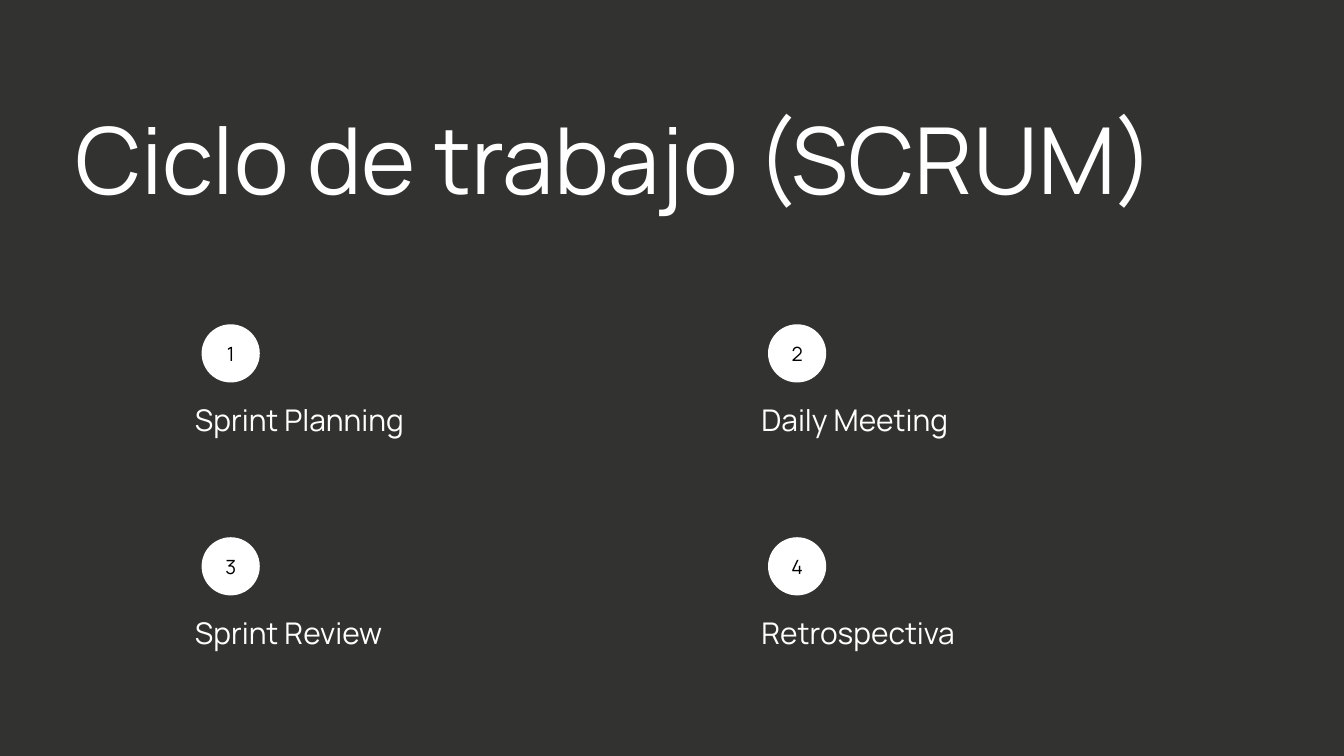
import pptx
import pptx.util
import pptx.dml.color
import pptx.enum.shapes
import pptx.enum.text
import lxml.etree
from dataclasses import dataclass

Cm = pptx.util.Cm
Pt = pptx.util.Pt
RGB = pptx.dml.color.RGBColor
Align = pptx.enum.text.PP_ALIGN
Anchor = pptx.enum.text.MSO_ANCHOR
Fit = pptx.enum.text.MSO_AUTO_SIZE
OVAL = pptx.enum.shapes.MSO_SHAPE.OVAL

TITLE = "Ciclo de trabajo (SCRUM)"
STEPS = ["Sprint Planning", "Daily Meeting", "Sprint Review", "Retrospectiva"]


@dataclass(frozen=True)
class Theme:
    font: str = "Manrope"
    dark: RGB = RGB(0x32, 0x32, 0x30)
    light: RGB = RGB(0xFF, 0xFF, 0xFF)
    ink: RGB = RGB(0, 0, 0)
    title: tuple = (99, 106.9)
    label: tuple = (32, 44.8)
    digit: tuple = (21, 29.4)


LOOK = Theme()
COLS = 2
LEFT, TOP = 7.37, 12.01
STEP_X, STEP_Y = 21.41, 8.05
HALO, DOT = 2.7, 2.2
LABEL_DY, LABEL_W, LABEL_H = 2.95, 16.61, 1.52


def write(shape, text, size, color, align=Align.LEFT, anchor=Anchor.TOP):
    frame = shape.text_frame
    frame.text = text
    frame.word_wrap = True
    frame.auto_size = Fit.NONE
    frame.vertical_anchor = anchor
    frame.margin_left = frame.margin_right = 0
    frame.margin_top = frame.margin_bottom = 0
    line = frame.paragraphs[0]
    line.alignment = align
    line.line_spacing = Pt(size[1])
    font = line.runs[0].font
    font.name = LOOK.font
    font.size = Pt(size[0])
    font.color.rgb = color


def add_disc(group, x, y, side, color):
    disc = group.shapes.add_shape(OVAL, Cm(x), Cm(y), Cm(side), Cm(side))
    disc.shadow.inherit = False
    disc.fill.solid()
    disc.fill.fore_color.rgb = color
    disc.line.fill.background()
    return disc


def fade(shape, share):
    tint = shape.fill._xPr.find(".//" + pptx.oxml.ns.qn("a:srgbClr"))
    alpha = lxml.etree.SubElement(tint, pptx.oxml.ns.qn("a:alpha"))
    alpha.set("val", str(share * 1000))


def add_step(slide, index, name):
    row, col = divmod(index, COLS)
    x, y = LEFT + col * STEP_X, TOP + row * STEP_Y
    group = slide.shapes.add_group_shape()
    label = group.shapes.add_textbox(Cm(x), Cm(y + LABEL_DY), Cm(LABEL_W), Cm(LABEL_H))
    write(label, name, LOOK.label, LOOK.light)
    fade(add_disc(group, x, y, HALO, LOOK.dark), 40)
    gap = (HALO - DOT) / 2
    dot = add_disc(group, x + gap, y + gap, DOT, LOOK.light)
    write(dot, str(index + 1), LOOK.digit, LOOK.ink, Align.CENTER, Anchor.MIDDLE)
    dot.text_frame.margin_bottom = Cm(0.15)


def main():
    deck = pptx.Presentation()
    deck.slide_width, deck.slide_height = Cm(50.8), Cm(28.58)
    slide = deck.slides.add_slide(deck.slide_layouts[5])
    slide.background.fill.solid()
    slide.background.fill.fore_color.rgb = LOOK.dark

    title = slide.shapes.title
    title.left, title.top = Cm(2.84), Cm(4.29)
    title.width, title.height = Cm(45.09), Cm(4.11)
    write(title, TITLE, LOOK.title, LOOK.light)

    for index, name in enumerate(STEPS):
        add_step(slide, index, name)
    deck.save("out.pptx")


if __name__ == "__main__":
    main()
